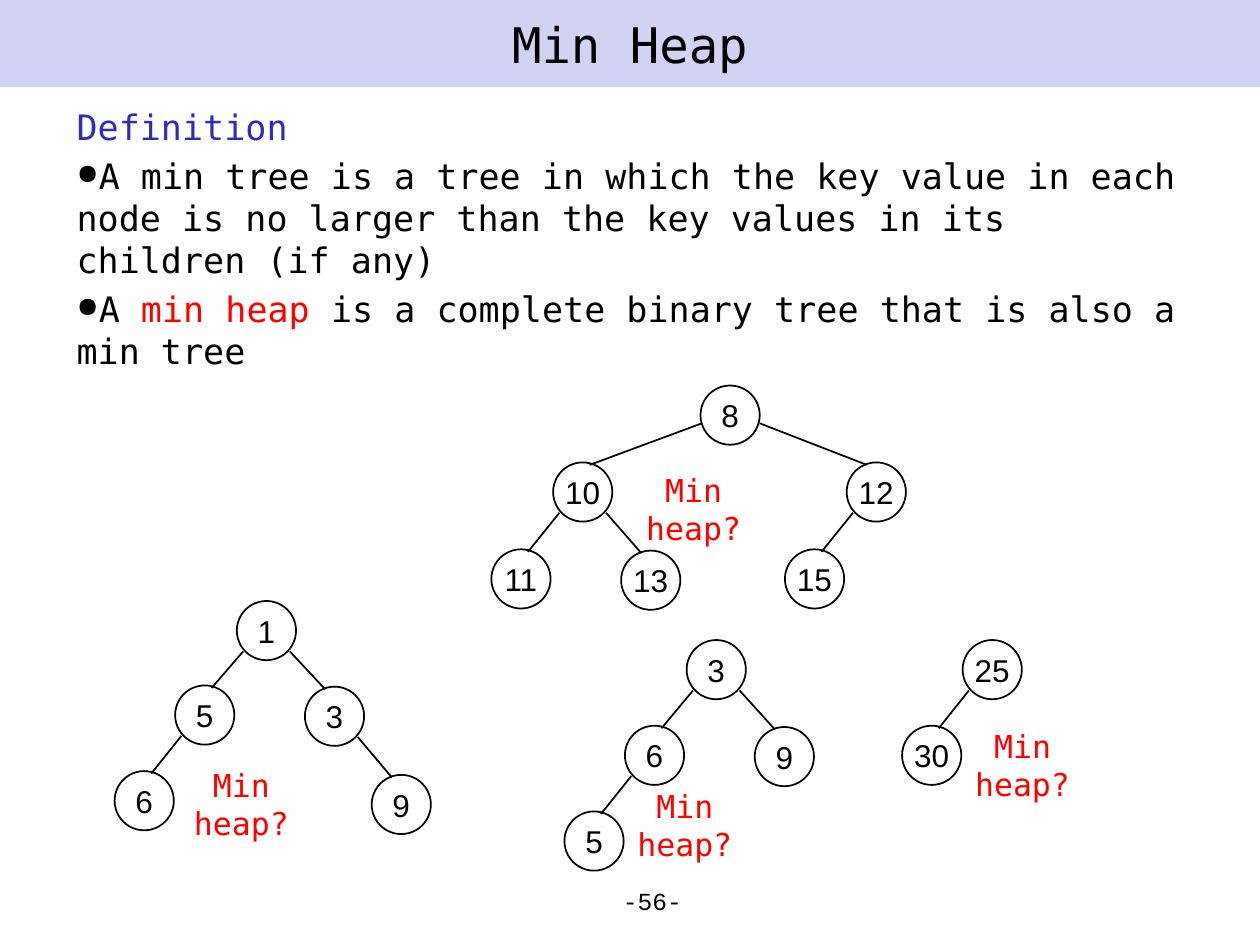
from pptx import Presentation
from pptx.dml.color import RGBColor
from pptx.enum.shapes import MSO_CONNECTOR, MSO_SHAPE
from pptx.enum.text import MSO_ANCHOR, PP_ALIGN
from pptx.oxml.ns import qn
from pptx.util import Inches, Pt
from lxml import etree

MONO = "DejaVu Sans Mono"
BLACK, BLUE, RED, LAVENDER = "000000", "2D2DB9", "FF0000", "D2D2F4"
NODE_SIZE = 0.47


def color(value):
    return RGBColor.from_string(value)


def style(paragraph, size, font, value, align=PP_ALIGN.CENTER):
    paragraph.alignment = align
    paragraph.font.size = Pt(size)
    paragraph.font.name = font
    paragraph.font.color.rgb = color(value)


deck = Presentation()
deck.slide_width, deck.slide_height = Inches(10), Inches(7.5)
page = deck.slides.add_slide(deck.slide_layouts[6])

# Title band
band = page.shapes.add_shape(MSO_SHAPE.RECTANGLE, 0, 0, Inches(10), Inches(0.69))
band.shadow.inherit = False
band.fill.solid()
band.fill.fore_color.rgb = color(LAVENDER)
band.line.fill.background()
band.text_frame.vertical_anchor = MSO_ANCHOR.MIDDLE
band.text_frame.text = "Min Heap"
style(band.text_frame.paragraphs[0], 28, MONO, BLACK)

# Definition: each paragraph is a list of (text, color) spans
definition = [
    [("Definition", BLUE)],
    [("A min tree is a tree in which the key value in each node is no larger "
      "than the key values in its children (if any)", BLACK)],
    [("A ", BLACK), ("min heap ", RED),
     ("is a complete binary tree that is also a min tree", BLACK)],
]
body = page.shapes.add_textbox(Inches(0.51), Inches(0.79), Inches(8.93), Inches(6.04))
body.text_frame.word_wrap = True
for number, spans in enumerate(definition):
    para = body.text_frame.paragraphs[0] if number == 0 else body.text_frame.add_paragraph()
    style(para, 20, MONO, BLACK, PP_ALIGN.LEFT)
    para.space_before = Pt(4)
    for text, value in spans:
        span = para.add_run()
        span.text = text
        span.font.color.rgb = color(value)
    if number > 0:
        properties = para._p.get_or_add_pPr()
        properties.set("marL", "0")
        properties.set("indent", str(-Inches(0.38)))
        size = etree.Element(qn("a:buSzPct"), val="80000")
        bullet = etree.Element(qn("a:buChar"), char="●")
        properties.find(qn("a:spcBef")).addnext(size)
        size.addnext(bullet)

# Page number
footer = page.shapes.add_textbox(Inches(3.43), Inches(6.98), Inches(2.08), Inches(0.31))
footer.text_frame.word_wrap = True
footer.text_frame.text = "-56-"
style(footer.text_frame.paragraphs[0], 14, "Courier New", BLACK, PP_ALIGN.RIGHT)

# Trees: nodes as (key, left, top), then branches as (parent, child) positions
trees = [
    ([("8", 5.56, 3.06), ("10", 4.39, 3.67), ("12", 6.72, 3.67),
      ("11", 3.9, 4.36), ("13", 4.93, 4.37), ("15", 6.23, 4.36)],
     [(0, 1), (0, 2), (1, 3), (1, 4), (2, 5)]),
    ([("3", 5.45, 5.08), ("6", 4.96, 5.76), ("9", 5.99, 5.77), ("5", 4.48, 6.44)],
     [(0, 1), (0, 2), (1, 3)]),
    ([("25", 7.64, 5.08), ("30", 7.16, 5.76)], [(0, 1)]),
    ([("1", 1.88, 4.77), ("5", 1.39, 5.44), ("3", 2.42, 5.45),
      ("6", 0.91, 6.12), ("9", 2.95, 6.15)],
     [(0, 1), (0, 2), (1, 3), (2, 4)]),
]
for nodes, branches in trees:
    tree = page.shapes.add_group_shape().shapes
    for key, left, top in nodes:
        node = tree.add_shape(MSO_SHAPE.OVAL, Inches(left), Inches(top),
                              Inches(NODE_SIZE), Inches(NODE_SIZE))
        node.shadow.inherit = False
        node.fill.background()
        node.line.color.rgb = color(BLACK)
        node.line.width = Pt(1)
        node.text_frame.word_wrap = False
        node.text_frame.vertical_anchor = MSO_ANCHOR.MIDDLE
        node.text_frame.text = key
        style(node.text_frame.paragraphs[0], 18, "Arial", BLACK)
    for parent, child in branches:
        key, left, top = nodes[parent]
        child_left, child_top = nodes[child][1:]
        goes_left = child_left < left
        start_x, start_y = left + (0.05 if goes_left else 0.42), top + 0.4
        end_x, end_y = child_left + (0.29 if goes_left else 0.16), child_top + 0.02
        if key == "8":  # wide branches leave from the sides of the root
            start_x, start_y = left + (0.01 if goes_left else NODE_SIZE), top + 0.3
        branch = tree.add_connector(MSO_CONNECTOR.STRAIGHT, Inches(start_x),
                                    Inches(start_y), Inches(end_x), Inches(end_y))
        branch.line.color.rgb = color(BLACK)
        branch.line.width = Pt(1)
        etree.SubElement(branch._element.spPr, qn("a:effectLst"))

# Question beside each tree
for left, top in [(1.44, 6.03), (5.03, 3.69), (4.96, 6.2), (7.64, 5.72)]:
    question = page.shapes.add_textbox(Inches(left), Inches(top), Inches(0.95), Inches(0.7))
    frame = question.text_frame
    frame.word_wrap = True
    frame.margin_left = frame.margin_right = 0
    frame.text = "Min heap?"
    style(frame.paragraphs[0], 18, MONO, RED)

deck.save("out.pptx")
